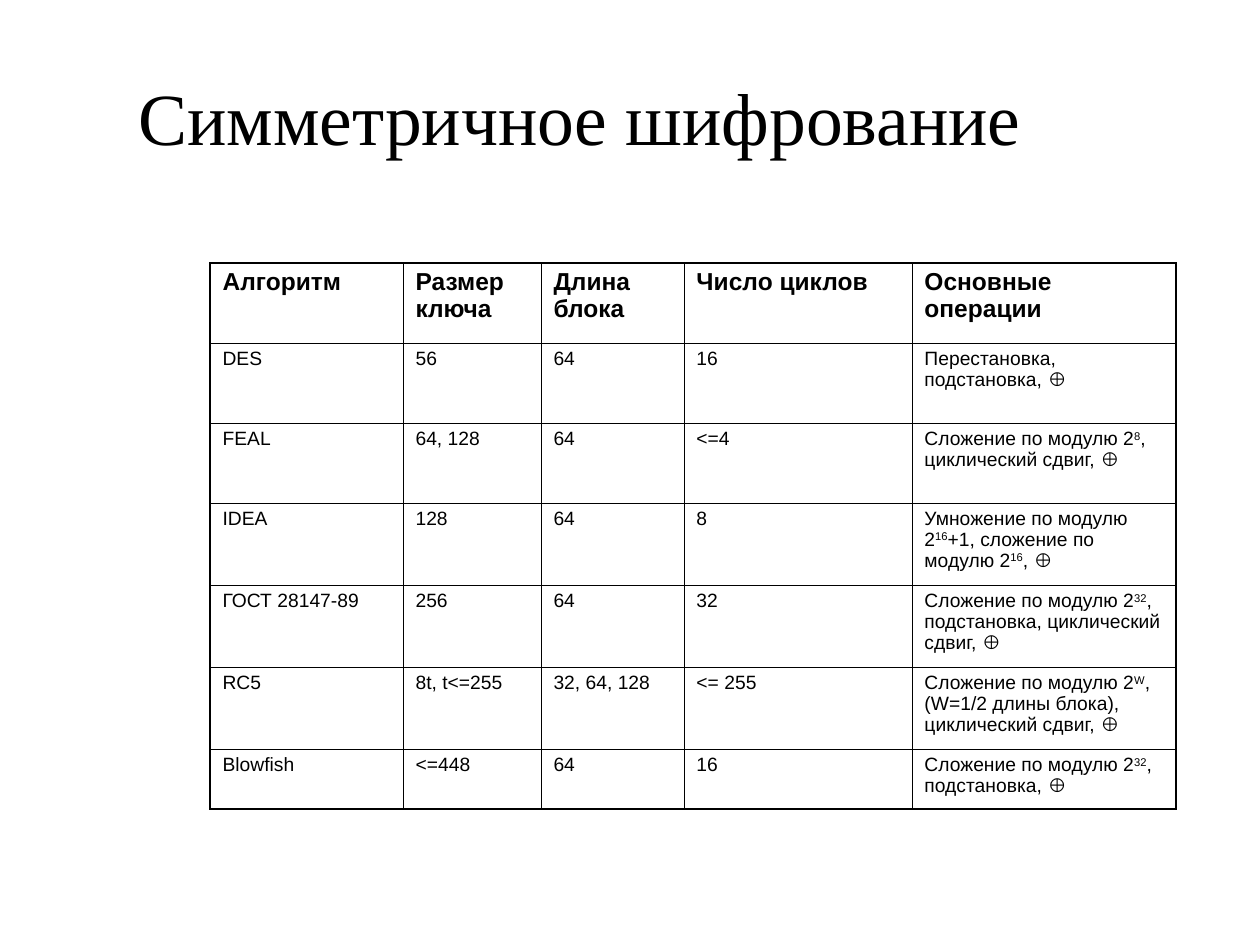
from lxml.etree import SubElement
from pptx import Presentation
from pptx.dml.color import RGBColor
from pptx.enum.text import MSO_ANCHOR, PP_ALIGN
from pptx.oxml.ns import qn
from pptx.util import Emu, Pt

PX_PER_INCH = 126
BLACK = RGBColor(0x00, 0x00, 0x00)
WHITE = RGBColor(0xFF, 0xFF, 0xFF)
THIN, THICK = 0.45, 1.08

TITLE_FONT = {"name": "Times New Roman", "size": Pt(42)}
HEADER_FONT = {"name": "Arial", "size": Pt(14), "bold": True}
BODY_FONT = {"name": "Arial", "size": Pt(11), "bold": False}

COLUMN_WIDTHS = [193, 138, 143, 228, 264]
ROW_HEIGHTS = [80, 80, 80, 82, 82, 82, 60]
# Text between two ^ marks is superscript.
CIPHERS = [
    ["Алгоритм", "Размер ключа", "Длина блока", "Число циклов", "Основные операции"],
    ["DES", "56", "64", "16", "Перестановка, подстановка, ⊕"],
    ["FEAL", "64, 128", "64", "<=4",
     "Сложение по модулю 2^8^, циклический сдвиг, ⊕"],
    ["IDEA", "128", "64", "8",
     "Умножение по модулю 2^16^+1, сложение по модулю 2^16^, ⊕"],
    ["ГОСТ 28147-89", "256", "64", "32",
     "Сложение по модулю 2^32^, подстановка, циклический сдвиг, ⊕"],
    ["RC5", "8t, t<=255", "32, 64, 128", "<= 255",
     "Сложение по модулю 2^W^, (W=1/2 длины блока), циклический сдвиг, ⊕"],
    ["Blowfish", "<=448", "64", "16", "Сложение по модулю 2^32^, подстановка, ⊕"],
]


def px(n):
    return Emu(round(n * 914400 / PX_PER_INCH))


def add_run(p, text, font):
    r = p.add_run()
    r.text = text
    for name, value in font.items():
        setattr(r.font, name, value)
    r.font.color.rgb = BLACK
    return r


def add_marked_text(p, text, font):
    """Add runs to p, raising each part that stands between ^ marks."""
    for i, part in enumerate(text.split("^")):
        r = add_run(p, part, font)
        if i % 2:
            r._r.get_or_add_rPr().set("baseline", "30000")


def set_borders(cell, widths):
    """Draw solid borders from a dict of side letter to width in points."""
    tc_pr = cell._tc.get_or_add_tcPr()
    for side, width in widths.items():
        ln = SubElement(tc_pr, qn(f"a:ln{side}"), w=str(Pt(width)))
        fill = SubElement(ln, qn("a:solidFill"))
        SubElement(fill, qn("a:srgbClr"), val=str(BLACK))


def add_title(slide, text):
    box = slide.shapes.add_textbox(px(126), px(38), px(1071), px(157))
    tf = box.text_frame
    tf.word_wrap = True
    tf.vertical_anchor = MSO_ANCHOR.MIDDLE
    p = tf.paragraphs[0]
    p.alignment = PP_ALIGN.LEFT
    add_run(p, text, TITLE_FONT)


def fill_cell(cell, text, is_header):
    p = cell.text_frame.paragraphs[0]
    p.space_before = Pt(3.5 if is_header else 2.8)
    p.line_spacing = 0.97
    add_marked_text(p, text, HEADER_FONT if is_header else BODY_FONT)


def add_cipher_table(slide):
    n_rows, n_cols = len(ROW_HEIGHTS), len(COLUMN_WIDTHS)
    frame = slide.shapes.add_table(n_rows, n_cols, px(210), px(263),
                                   px(sum(COLUMN_WIDTHS)), px(sum(ROW_HEIGHTS)))
    table = frame.table
    table.first_row = table.horz_banding = False
    for column, width in zip(table.columns, COLUMN_WIDTHS):
        column.width = px(width)
    for row, height in zip(table.rows, ROW_HEIGHTS):
        row.height = px(height)
    for i, texts in enumerate(CIPHERS):
        for j, text in enumerate(texts):
            cell = table.cell(i, j)
            fill_cell(cell, text, is_header=i == 0)
            outer = {"L": j == 0, "R": j == n_cols - 1,
                     "T": i == 0, "B": i == n_rows - 1}
            set_borders(cell, {side: THICK if edge else THIN
                               for side, edge in outer.items()})
            cell.fill.background()


def main():
    prs = Presentation()
    prs.slide_width, prs.slide_height = px(1260), px(945)
    slide = prs.slides.add_slide(prs.slide_layouts[6])
    background = slide.background.fill
    background.solid()
    background.fore_color.rgb = WHITE
    add_title(slide, "Симметричное шифрование")
    add_cipher_table(slide)
    prs.save("out.pptx")


if __name__ == "__main__":
    main()
